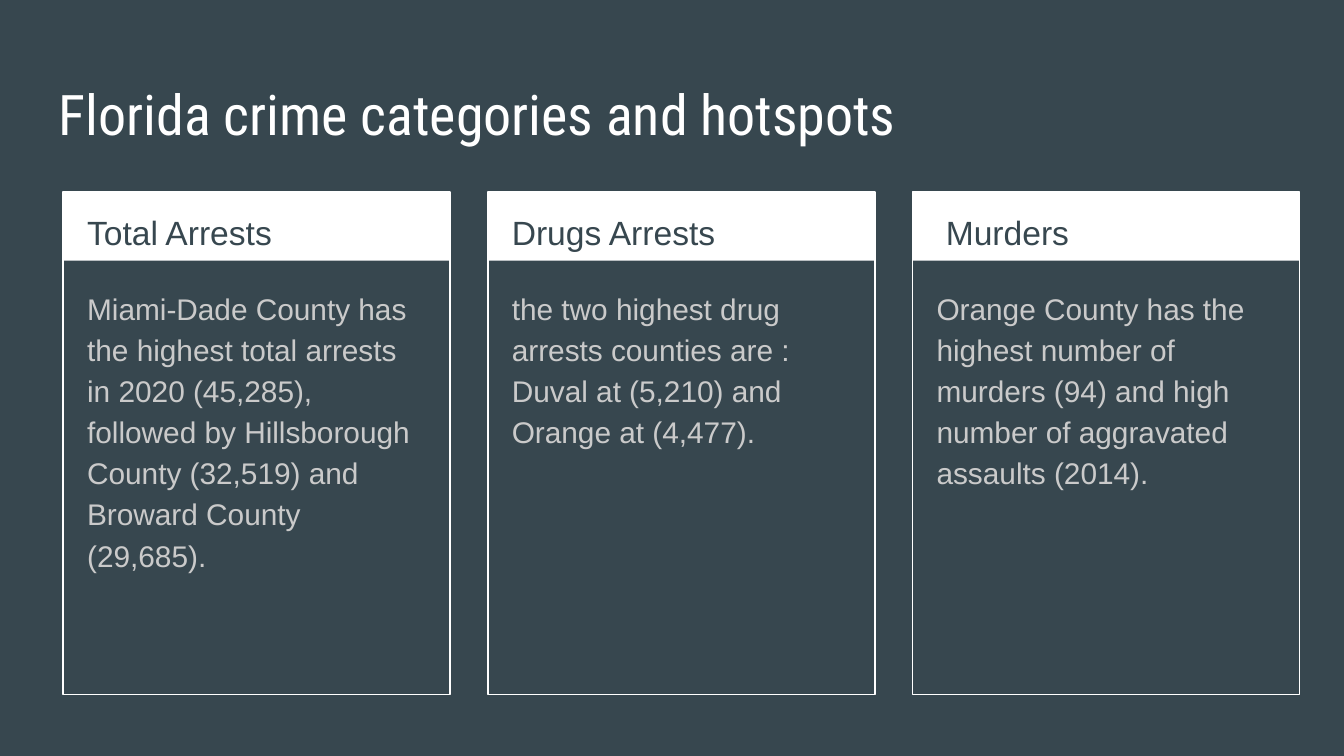
import pptx
import pptx.dml.color
import pptx.enum.shapes
import pptx.enum.text
import pptx.util

Inches = pptx.util.Inches
COLORS = {"slate": "37474F", "white": "FFFFFF", "gray": "CACACA"}

CARDS = [
    ("Total Arrests",
     "Miami-Dade County has the highest total arrests in 2020 (45,285), "
     "followed by Hillsborough County (32,519) and Broward County (29,685)."),
    ("Drugs Arrests",
     "the two highest drug arrests counties are : "
     "Duval at (5,210) and Orange at (4,477)."),
    (" Murders",
     "Orange County has the highest number of murders (94) "
     "and high number of aggravated assaults (2014)."),
]


def rgb(name):
    return pptx.dml.color.RGBColor.from_string(COLORS[name])


def add_text(page, box, text, size, color, font="Arial", line_spacing=1.15):
    frame = page.shapes.add_textbox(*map(Inches, box)).text_frame
    frame.word_wrap = True
    frame.vertical_anchor = pptx.enum.text.MSO_ANCHOR.TOP
    frame.margin_left = frame.margin_right = Inches(0.1)
    frame.margin_top = frame.margin_bottom = Inches(0.1)
    frame.text = text
    para = frame.paragraphs[0]
    para.line_spacing = line_spacing
    span = para.runs[0]
    span.font.size = pptx.util.Pt(size)
    span.font.name = font
    span.font.color.rgb = rgb(color)


def add_rectangle(page, box, fill=None, line=None):
    rectangle = page.shapes.add_shape(
        pptx.enum.shapes.MSO_SHAPE.RECTANGLE, *map(Inches, box))
    rectangle.shadow.inherit = False
    if fill:
        rectangle.fill.solid()
        rectangle.fill.fore_color.rgb = rgb(fill)
    else:
        rectangle.fill.background()
    if line:
        rectangle.line.color.rgb = rgb(line)
        rectangle.line.width = pptx.util.Pt(0.75)
    else:
        rectangle.line.fill.background()


def add_title(page, box):
    add_text(page, box, "Florida crime categories and hotspots", 30, "white",
             font="Roboto Condensed", line_spacing=1.0)


def add_card(page, box, heading, body):
    left, top, width, height = box
    # Header band and outline
    add_rectangle(page, (left, top, width, 0.51), fill="white")
    add_rectangle(page, box, line="white")
    # Heading and body text
    add_text(page, (left + 0.08, top, width - 0.15, 0.5), heading, 18, "slate")
    add_text(page, (left + 0.08, top + 0.59, width - 0.17, height - 0.68),
             body, 16, "gray")


def main():
    deck = pptx.Presentation()
    deck.slide_width = Inches(10)
    deck.slide_height = deck.slide_width * 9 // 16
    page = deck.slides.add_slide(deck.slide_layouts[6])
    page.background.fill.solid()
    page.background.fill.fore_color.rgb = rgb("slate")

    add_title(page, (0.34, 0.49, 9.32, 0.63))

    # Three equally spaced cards
    for column, (heading, body) in enumerate(CARDS):
        add_card(page, (0.47 + column * 3.16, 1.43, 2.88, 3.74), heading, body)

    deck.save("out.pptx")


if __name__ == "__main__":
    main()
